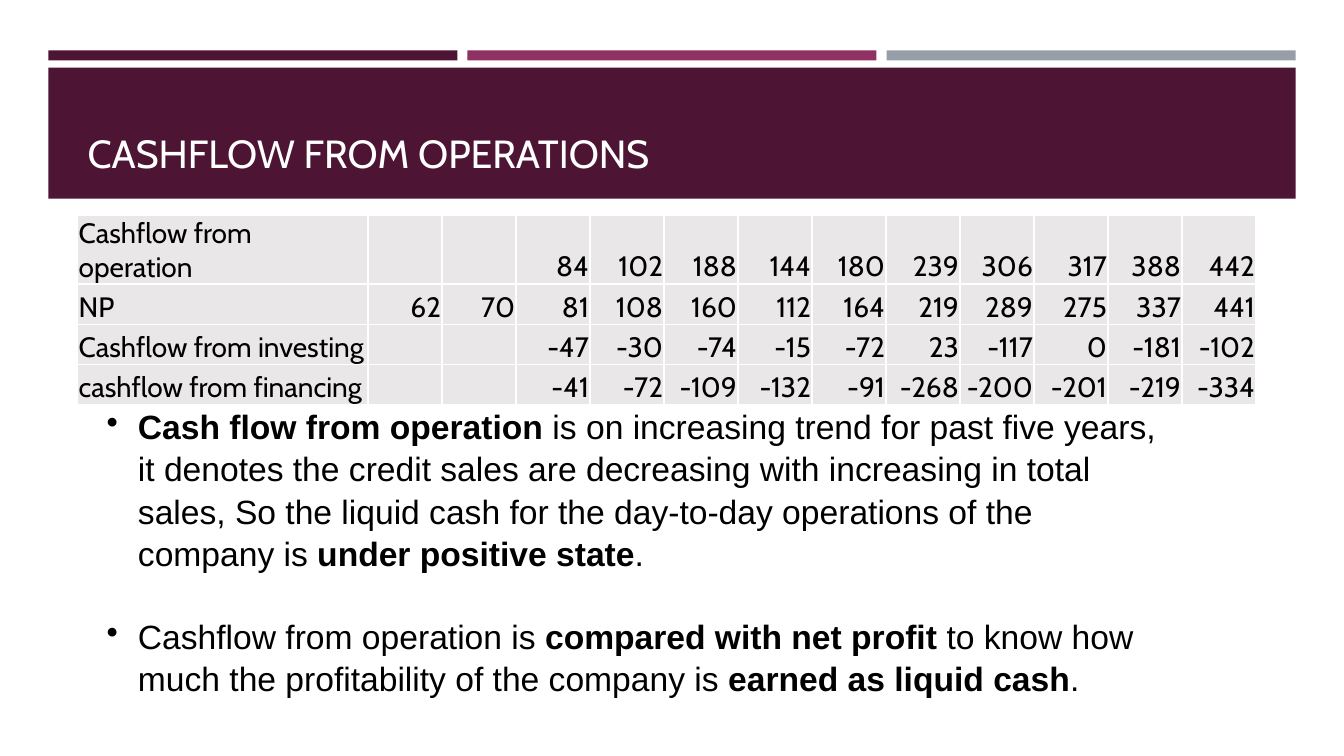
from lxml import etree
from pptx import Presentation
from pptx.dml.color import RGBColor
from pptx.enum import shapes, text
from pptx.oxml.ns import qn
from pptx.util import Inches, Pt

PLUM, MAGENTA, GREY = "4D1434", "903163", "969FA7"
WHITE, BLACK, CELL = "FFFFFF", "000000", "E9E7E8"
CASHFLOWS = [
    ("Cashflow from operation", ["", "", 84, 102, 188, 144, 180, 239, 306, 317, 388, 442]),
    ("NP", [62, 70, 81, 108, 160, 112, 164, 219, 289, 275, 337, 441]),
    ("Cashflow from investing", ["", "", -47, -30, -74, -15, -72, 23, -117, 0, -181, -102]),
    ("cashflow from financing", ["", "", -41, -72, -109, -132, -91, -268, -200, -201, -219, -334]),
]
FINDINGS = [
    [("Cash flow from operation ", True),
     ("is on increasing trend for past five years, it denotes the credit sales are "
      "decreasing with increasing in total sales, So the liquid cash for the "
      "day-to-day operations of the company is ", False),
     ("under positive state", True), (".", False)],
    [("Cashflow from operation is ", False), ("compared with net profit ", True),
     ("to know how much the profitability of the company is ", False),
     ("earned as liquid cash", True), (".", False)],
]


def color(value):
    """Return the colour for a hex string."""
    return RGBColor.from_string(value)


def set_font(font, name, size, value):
    """Set the typeface, point size and colour of a font."""
    font.name, font.size = name, Pt(size)
    font.color.rgb = color(value)


def add_bar(page, left, top, width, height, fill):
    """Add a plain filled rectangle."""
    bar = page.shapes.add_shape(shapes.MSO_SHAPE.RECTANGLE, Inches(left),
                                Inches(top), Inches(width), Inches(height))
    bar.shadow.inherit = False
    bar.fill.solid()
    bar.fill.fore_color.rgb = color(fill)
    bar.line.fill.background()


def add_header(page, left, top, width, title):
    """Draw three accent strips above the title band."""
    gap = 0.1
    strip = (width - 2 * gap) / 3
    for index, fill in enumerate((PLUM, MAGENTA, GREY)):
        add_bar(page, left + index * (strip + gap), top, strip, 0.1, fill)
    add_bar(page, left, top + 0.17, width, 1.3, PLUM)
    box = page.shapes.add_textbox(Inches(left + 0.29), Inches(top + 0.19),
                                  Inches(width - 0.31), Inches(1.11))
    frame = box.text_frame
    frame.word_wrap = True
    frame.vertical_anchor = text.MSO_ANCHOR.BOTTOM
    para = frame.paragraphs[0]
    para.text = title
    set_font(para.font, "Cabin", 28, WHITE)


def add_borders(cell):
    """Give a cell thin white borders on all sides."""
    properties = cell._tc.get_or_add_tcPr()
    for index, side in enumerate(("lnL", "lnR", "lnT", "lnB")):
        line = etree.Element(qn("a:" + side), w=str(Pt(1)))
        fill = etree.SubElement(line, qn("a:solidFill"))
        etree.SubElement(fill, qn("a:srgbClr"), val=WHITE)
        properties.insert(index, line)


def fill_cell(cell, value, align):
    """Write and style one table cell."""
    cell.fill.solid()
    cell.fill.fore_color.rgb = color(CELL)
    cell.margin_left = cell.margin_right = cell.margin_top = Inches(0.01)
    cell.margin_bottom = 0
    cell.vertical_anchor = text.MSO_ANCHOR.BOTTOM
    para = cell.text_frame.paragraphs[0]
    para.text = str(value)
    para.alignment = align
    set_font(para.font, "Cabin", 20, BLACK)
    add_borders(cell)


def add_cashflow_table(page, left, top, width, row_height):
    """Add the table with a wide label column and equal value columns."""
    label_width = 2.88
    count = len(CASHFLOWS[0][1])
    table = page.shapes.add_table(len(CASHFLOWS), count + 1, Inches(left), Inches(top),
                                  Inches(width), Inches(row_height * len(CASHFLOWS))).table
    table.first_row = table.horz_banding = False
    for index, column in enumerate(table.columns):
        column.width = Inches((width - label_width) / count if index else label_width)
    for row, (label, values) in enumerate(CASHFLOWS):
        fill_cell(table.cell(row, 0), label, text.PP_ALIGN.LEFT)
        for column, value in enumerate(values, 1):
            fill_cell(table.cell(row, column), value, text.PP_ALIGN.RIGHT)


def add_findings(page, left, top, width, height):
    """Add the bulleted findings with bold key phrases."""
    box = page.shapes.add_textbox(Inches(left), Inches(top), Inches(width), Inches(height))
    frame = box.text_frame
    frame.word_wrap = True
    for index, finding in enumerate(FINDINGS):
        para = frame.add_paragraph() if index else frame.paragraphs[0]
        para.line_spacing = 1.05
        para.space_before = Pt(29 if index else 0)
        set_font(para.font, "Arial", 24, BLACK)
        properties = para._p.get_or_add_pPr()
        properties.set("marL", str(Inches(0.31)))
        properties.set("indent", str(Inches(-0.31)))
        bullet = etree.Element(qn("a:buChar"), char="•")
        properties.insert_element_before(bullet, "a:tabLst", "a:defRPr", "a:extLst")
        for words, bold in finding:
            span = para.add_run()
            span.text = words
            span.font.bold = bold


def main():
    """Build and save the deck."""
    deck = Presentation()
    deck.slide_width, deck.slide_height = Inches(13.33), Inches(7.5)
    page = deck.slides.add_slide(deck.slide_layouts[6])
    add_header(page, 0.48, 0.5, 12.37, "CASHFLOW FROM OPERATIONS")
    add_findings(page, 0.96, 3.96, 10.75, 3.5)
    add_cashflow_table(page, 0.77, 2.14, 11.69, 0.4)
    deck.save("out.pptx")


if __name__ == "__main__":
    main()
